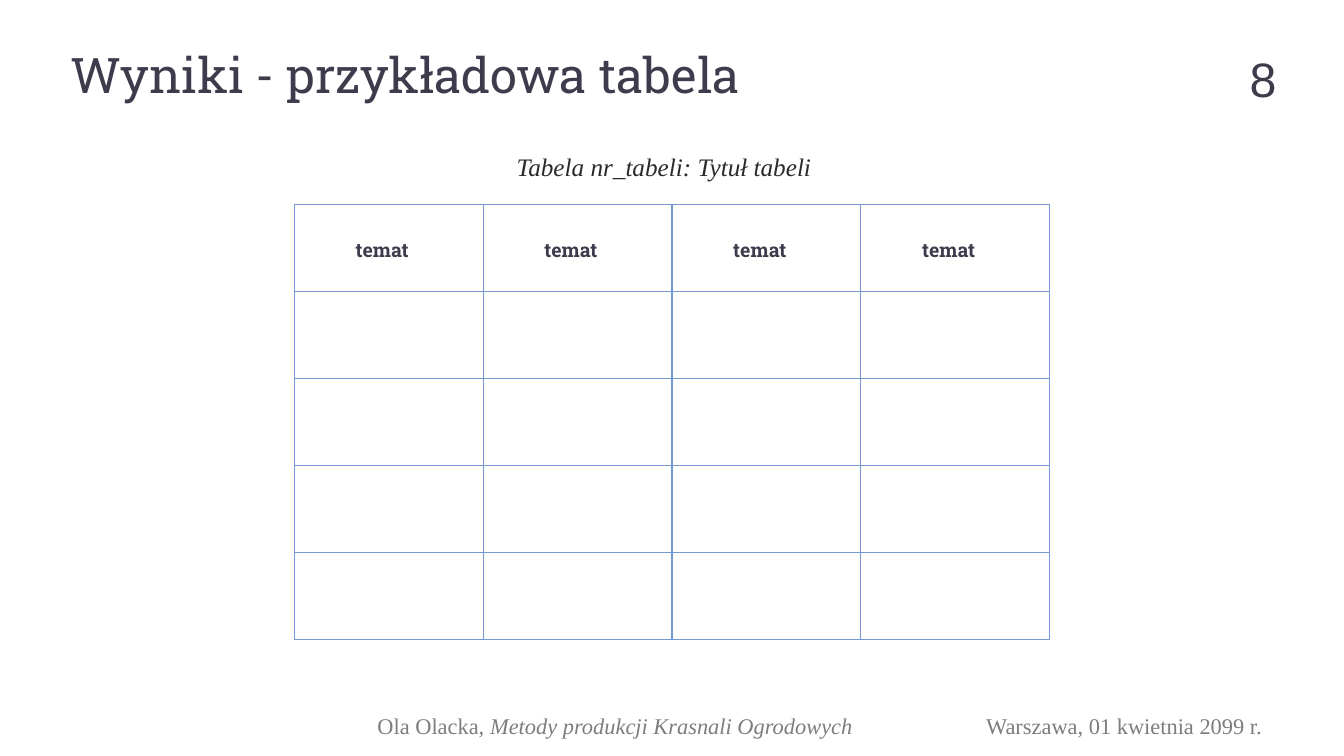
import pptx
import pptx.dml.color
import pptx.enum.text
import pptx.oxml
import pptx.oxml.ns
import pptx.util
from pptx.util import Inches

COLORS = {
    "dark": "3C3C4C",
    "caption": "2A2A2A",
    "footer": "7D7D7D",
    "grid": "7896CF",
    "paper": "FFFFFF",
}
ALIGN = pptx.enum.text.PP_ALIGN
ANCHOR = pptx.enum.text.MSO_ANCHOR
AUTO_SIZE = pptx.enum.text.MSO_AUTO_SIZE
ROWS, COLUMNS = 5, 4


def rgb(name):
    return pptx.dml.color.RGBColor.from_string(COLORS[name])


def format_runs(paragraph, font, size, color, bold=False, italic=False):
    for run in paragraph.runs:
        run.font.name = font
        run.font.size = pptx.util.Pt(size)
        run.font.color.rgb = rgb(color)
        run.font.bold = bold
        run.font.italic = italic


def set_margins(frame, margin):
    frame.margin_left = frame.margin_right = Inches(margin)
    frame.margin_top = frame.margin_bottom = Inches(margin)


def add_text(slide, box, text, font, size, color, align=ALIGN.LEFT,
             anchor=ANCHOR.TOP, margin=0.12, wrap=True, italic=False,
             spacing=1.2, before=3):
    """Add a one-paragraph text box and return its paragraph."""
    frame = slide.shapes.add_textbox(*map(Inches, box)).text_frame
    frame.word_wrap = wrap
    frame.auto_size = AUTO_SIZE.SHAPE_TO_FIT_TEXT
    frame.vertical_anchor = anchor
    set_margins(frame, margin)
    paragraph = frame.paragraphs[0]
    paragraph.text = text
    paragraph.alignment = align
    paragraph.line_spacing = spacing
    paragraph.space_before = pptx.util.Pt(before)
    format_runs(paragraph, font, size, color, italic=italic)
    return paragraph


def set_title(slide, text):
    title = slide.shapes.title
    title.left, title.top = Inches(1.39), Inches(0.98)
    title.width, title.height = Inches(22.2), Inches(2.52)
    frame = title.text_frame
    frame.text = text
    frame.auto_size = AUTO_SIZE.NONE
    frame.vertical_anchor = ANCHOR.TOP
    set_margins(frame, 0)
    paragraph = frame.paragraphs[0]
    paragraph.alignment = ALIGN.LEFT
    paragraph.line_spacing = 0.93
    format_runs(paragraph, "Roboto Slab", 70, "dark")


def add_borders(cell, color, width):
    properties = cell._tc.get_or_add_tcPr()
    for position, side in enumerate(("lnL", "lnR", "lnT", "lnB")):
        line = pptx.oxml.parse_xml(
            f'<a:{side} {pptx.oxml.ns.nsdecls("a")} w="{pptx.util.Pt(width)}">'
            f'<a:solidFill><a:srgbClr val="{COLORS[color]}"/></a:solidFill>'
            f'</a:{side}>')
        properties.insert(position, line)


def add_results_table(slide, heading):
    table = slide.shapes.add_table(
        ROWS, COLUMNS, Inches(5.84), Inches(4.05),
        Inches(14.99), Inches(8.64)).table
    table.first_row = table.horz_banding = False
    for cell in table.iter_cells():
        cell.fill.solid()
        cell.fill.fore_color.rgb = rgb("paper")
        add_borders(cell, "grid", 2)
    for cell in table.rows[0].cells:
        cell.text = heading
        cell.vertical_anchor = ANCHOR.MIDDLE
        set_margins(cell, 0)
        paragraph = cell.text_frame.paragraphs[0]
        paragraph.line_spacing = 1.2
        indents = paragraph._p.get_or_add_pPr()
        indents.set("marL", "0")
        indents.set("indent", str(Inches(1.21)))
        format_runs(paragraph, "Roboto Slab", 28, "dark", bold=True)


def add_footer(slide):
    style = dict(font="Times New Roman", size=32, color="footer",
                 anchor=ANCHOR.BOTTOM)
    add_text(slide, (19.45, 13.85, 5.83, 0.93),
             "Warszawa, 01 kwietnia 2099 r.", wrap=False, **style)
    author = add_text(slide, (7.37, 13.85, 11.47, 0.93), "Ola Olacka, ", **style)
    author.add_run().text = "Metody produkcji Krasnali Ogrodowych"
    format_runs(author, "Times New Roman", 32, "footer")
    author.runs[1].font.italic = True


def main():
    presentation = pptx.Presentation()
    presentation.slide_width = Inches(26.67)
    presentation.slide_height = Inches(15)
    slide = presentation.slides.add_slide(presentation.slide_layouts[5])

    add_footer(slide)
    add_text(slide, (24.78, 0.99, 0.55, 1.15), "8", "Arial", 69, "dark",
             align=ALIGN.RIGHT, anchor=ANCHOR.BOTTOM, margin=0, wrap=False,
             spacing=0.93, before=4)
    set_title(slide, "Wyniki - przykładowa tabela")
    add_results_table(slide, "temat")
    add_text(slide, (7.79, 2.76, 10.77, 1.01), "Tabela nr_tabeli: Tytuł tabeli",
             "Times New Roman", 36, "caption", align=ALIGN.CENTER, italic=True)

    presentation.save("out.pptx")


if __name__ == "__main__":
    main()
